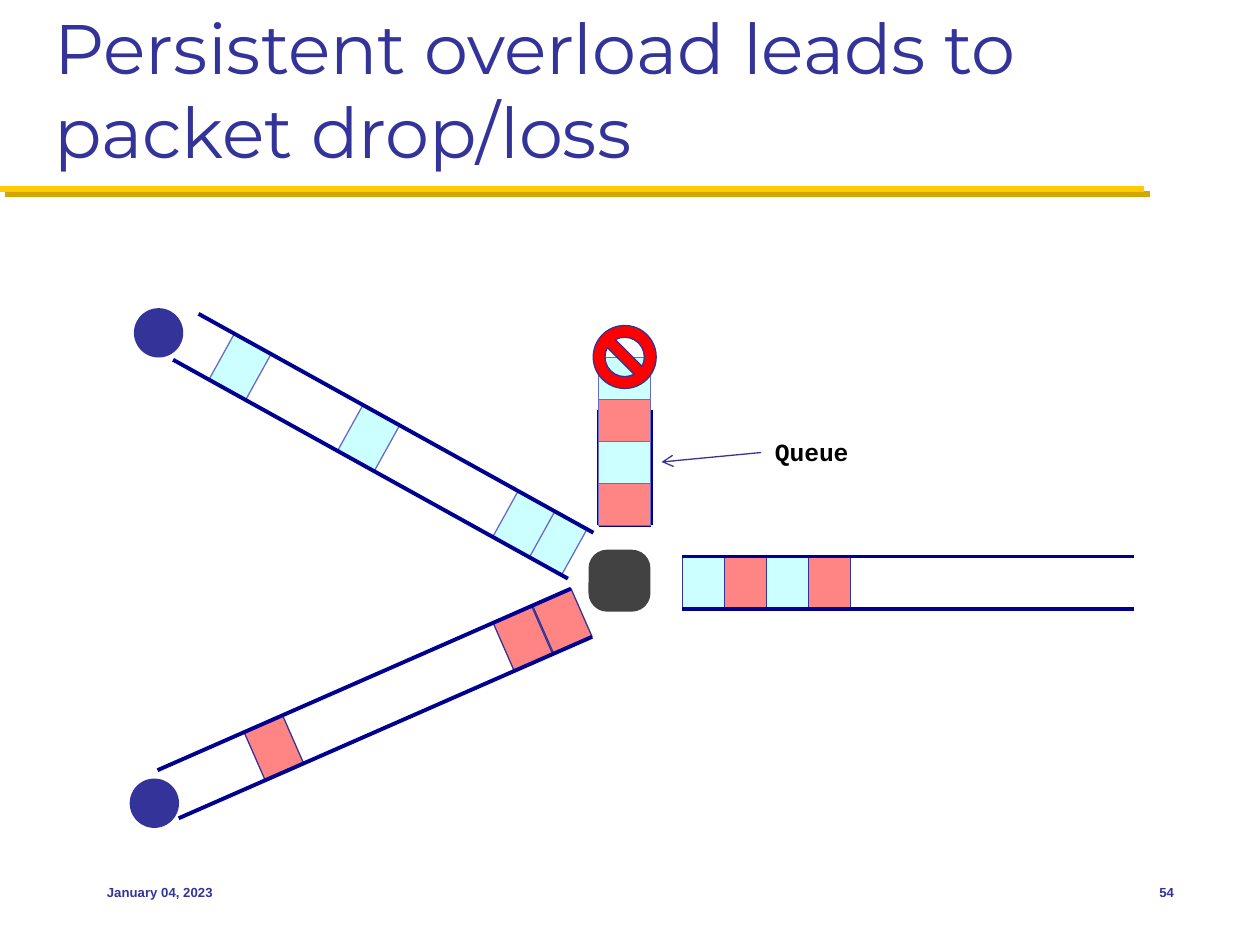
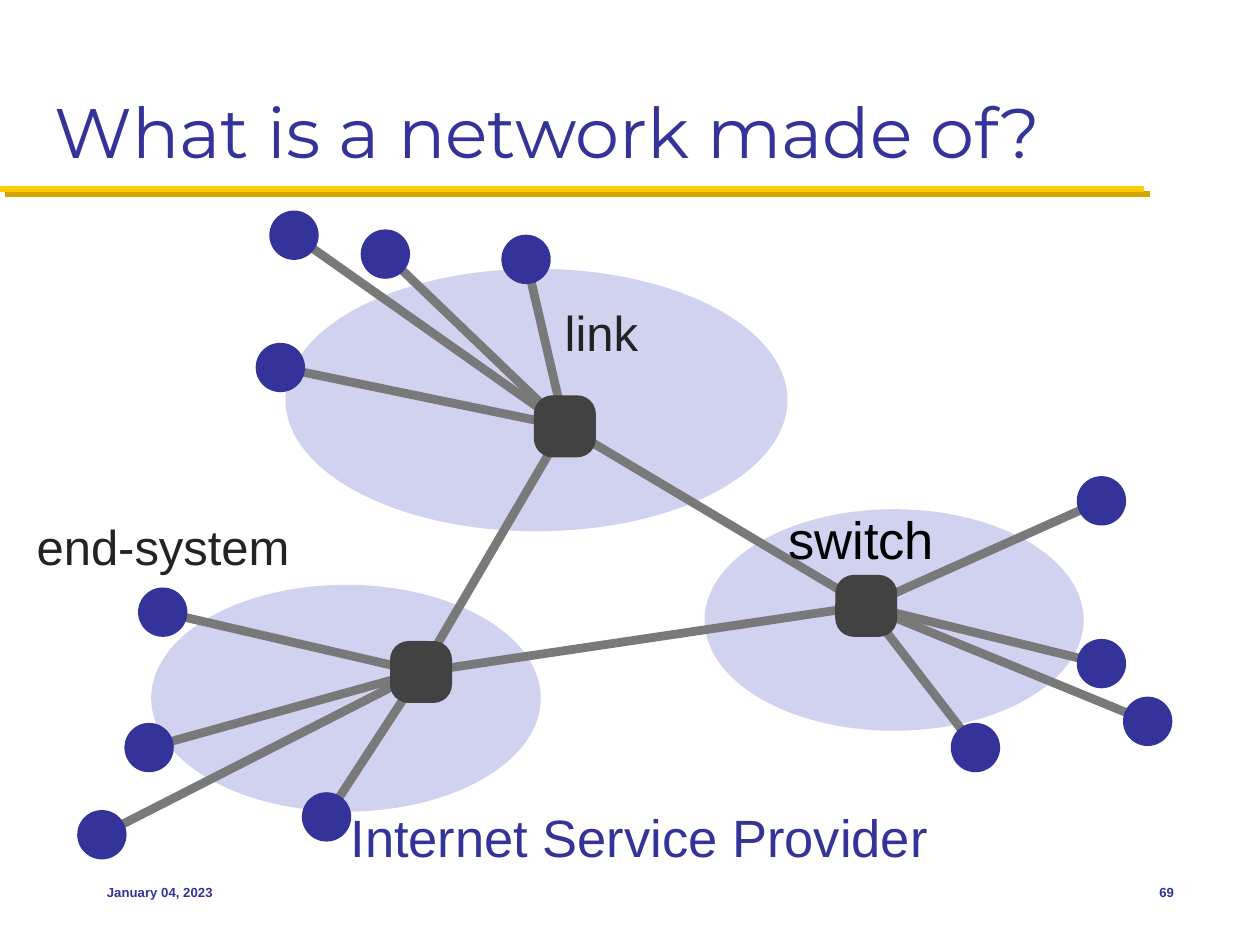
"""Build two slides about packet networks on a grid of 120 columns and 90 rows."""
from itertools import combinations
from math import cos, radians, sin

from lxml import etree
from pptx import Presentation
from pptx import util as u
from pptx.dml.color import RGBColor
from pptx.enum import shapes, text

COLS, ROWS = 120, 90
CELL = u.Inches(10) / COLS
KIND = shapes.MSO_SHAPE
INK = {
    "navy": "333399", "rail": "000090", "gold": "FFCB05", "shade": "D3A600",
    "cyan": "CCFFFF", "pink": "FF8585", "edge": "6A6ACD", "hub": "424242",
    "link": "797979", "cloud": "D1D1F0", "red": "FF0000", "dark": "232323",
    "black": "000000",
}
HOST, HUB = 4.7, 5.9
PACK = (4, 5)


def tint(name):
    """Return the named colour."""
    return RGBColor.from_string(INK[name])


def span(*cells):
    """Turn grid cells into slide lengths."""
    return [round(n * CELL) for n in cells]


def line(slide, start, end, ink, width, arrow=False):
    """Draw a straight line between two grid points."""
    rule = slide.shapes.add_connector(
        shapes.MSO_CONNECTOR.STRAIGHT, *span(*start, *end))
    rule.line.color.rgb = tint(ink)
    rule.line.width = u.Pt(width)
    space = "{http://schemas.openxmlformats.org/drawingml/2006/main}"
    if arrow:
        etree.SubElement(rule.line._get_or_add_ln(), space + "tailEnd", type="arrow")
    etree.SubElement(rule._element.spPr, space + "effectLst")


def form(slide, kind, mid, size, fill, edge=None, width=0.75, turn=0):
    """Draw a filled shape around its middle point."""
    (x, y), (w, h) = mid, size
    item = slide.shapes.add_shape(kind, *span(x - w / 2, y - h / 2, w, h))
    item.shadow.inherit = False
    item.rotation = turn
    item.fill.solid()
    item.fill.fore_color.rgb = tint(fill)
    if edge:
        item.line.color.rgb = tint(edge)
        item.line.width = u.Pt(width)
    else:
        item.line.fill.background()
    return item


def host(slide, mid):
    """Draw an end-system."""
    form(slide, KIND.OVAL, mid, (HOST, HOST), "navy")


def hub(slide, mid):
    """Draw a switch."""
    item = form(slide, KIND.ROUNDED_RECTANGLE, mid, (HUB, HUB), "hub")
    item.adjustments[0] = 0.3


def label(slide, box, words, size, ink="navy", face="Arial", bold=False,
          right=False, hold="MIDDLE", pad=(0.1, 0.05)):
    """Write one paragraph in a box."""
    frame = slide.shapes.add_textbox(*span(*box)).text_frame
    frame.word_wrap = True
    frame.vertical_anchor = text.MSO_ANCHOR[hold]
    frame.margin_left = frame.margin_right = u.Inches(pad[0])
    frame.margin_top = frame.margin_bottom = u.Inches(pad[1])
    para = frame.paragraphs[0]
    para.text = words
    para.alignment = text.PP_ALIGN.RIGHT if right else text.PP_ALIGN.LEFT
    font = para.font
    font.name, font.size, font.bold = face, u.Pt(size), bold
    font.color.rgb = tint(ink)


def base(deck, title, page):
    """Add a slide with its title, gold band and footer."""
    slide = deck.slides.add_slide(deck.slide_layouts[6])
    for shift, ink in ((0.5, "shade"), (0, "gold")):
        line(slide, (shift, 18 + shift), (109 + shift, 18 + shift), ink, 3.5)
    label(slide, (4, 2, 112, 15), title, 40, face="Montserrat", hold="BOTTOM")
    label(slide, (9, 82, 25, 6), "January 04, 2023", 7.5, bold=True)
    label(slide, (105, 82, 8, 6), str(page), 7.5, bold=True, right=True)
    return slide


def pipe(slide, box, turn, packs, edge="navy"):
    """Draw a pipe turned about the middle of its box, with packets along it."""
    x, y, w, h = box
    c, s = cos(radians(turn)), sin(radians(turn))

    def spot(along, across):
        """Turn a place in the pipe into a grid point."""
        dx, dy = along - w / 2, across - h / 2
        return x + w / 2 + dx * c - dy * s, y + h / 2 + dx * s + dy * c

    for along, fill in packs:
        form(slide, KIND.RECTANGLE, spot(along, h / 2), PACK, fill, edge, turn=turn)
    for across in (0, h):
        line(slide, spot(0, across), spot(w, across), "rail", 2.25)


def queue(slide, box):
    """Draw an open queue whose packets pile up past its top."""
    x, y, w, h = box
    wall = [(x, y), (x, y + h), (x + w, y + h), (x + w, y)]
    for start, end in zip(wall, wall[1:]):
        line(slide, start, end, "rail", 2.25)
    step, wide = PACK
    for n in range(4):
        form(slide, KIND.RECTANGLE, (x + w / 2, y + h - step * (n + 0.5)),
             (wide, step), ("pink", "cyan")[n % 2], "edge", 0.5)
    form(slide, KIND.NO_SYMBOL, (x + w / 2, y - 5), (6, 6), "red", "navy")
    line(slide, (x + w + 10.5, y + 4.1), (x + w + 1, y + 5), "navy", 0.75, True)
    label(slide, (x + w + 9, y + 2, 11, 4), "Queue", 14.1, "black",
          "Courier New", True, True, "TOP")


def drop(deck):
    """Build the overload slide."""
    slide = base(deck, "Persistent overload leads to packet drop/loss", 54)
    queue(slide, (57, 39, 5, 11))
    flow = [(2 + 4 * n, ("cyan", "pink")[n % 2]) for n in range(4)]
    pipe(slide, (65, 53, 43, 5), 0, flow)
    pipe(slide, (14.2, 64.5, 43, 5), -23.7, [(n, "pink") for n in (11, 41, 36.9)])
    pipe(slide, (15, 40, 43, 5), 29,
         [(n, "cyan") for n in (40.3, 36.8, 19.9, 5.9)], "edge")
    hub(slide, (59, 55.3))
    for mid in ((15.1, 31.7), (14.7, 76.5)):
        host(slide, mid)


def cloud(slide, box):
    """Draw the area of one provider."""
    x, y, w, h = box
    form(slide, KIND.OVAL, (x + w / 2, y + h / 2), (w, h), "cloud")


def place(box, point):
    """Move a point given from the corner of a box onto the grid."""
    return box[0] + point[0], box[1] + point[1]


def star(slide, box, core, ends):
    """Join the hosts of one provider to its switch."""
    mid = place(box, core)
    tips = [place(box, end) for end in ends]
    for tip in tips:
        line(slide, mid, tip, "link", 5)
    for tip in tips:
        host(slide, tip)
    hub(slide, mid)


def net(deck):
    """Build the network slide."""
    slide = base(deck, "What is a network made of?", 69)
    areas = [
        ((27.2, 25.6, 47.8, 25), (26.6, 15),
         [(-0.5, 9.4), (0.8, -3.2), (9.5, -1.4), (22.9, -0.9)]),
        ((67.1, 48.5, 36.1, 21.1), (15.4, 9.2),
         [(37.8, -0.8), (37.8, 14.7), (42.2, 20.2), (25.8, 22.7)]),
        ((14.4, 55.7, 37.1, 21.6), (25.7, 8.3),
         [(1.1, 2.6), (-0.2, 15.5), (-4.7, 23.8), (16.7, 22.1)]),
    ]
    for box, _, _ in areas:
        cloud(slide, box)
    cores = [place(box, core) for box, core, _ in areas]
    for start, end in combinations(cores, 2):
        line(slide, start, end, "link", 5)
    for area in areas:
        star(slide, *area)
    for box, words, size, ink in (
        ((53.3, 28.3, 9, 6.6), "link", 28, "dark"),
        ((74.6, 47.8, 17, 7), "switch", 30, "black"),
        ((3, 48.7, 28, 6.6), "end-system", 28, "dark"),
        ((32.9, 76.2, 60, 7), "Internet Service Provider", 30, "navy"),
    ):
        label(slide, box, words, size, ink, pad=(0.04, 0.04))


def main():
    """Build and save the deck."""
    deck = Presentation()
    deck.slide_width, deck.slide_height = span(COLS, ROWS)
    drop(deck)
    net(deck)
    deck.save("out.pptx")


if __name__ == "__main__":
    main()
